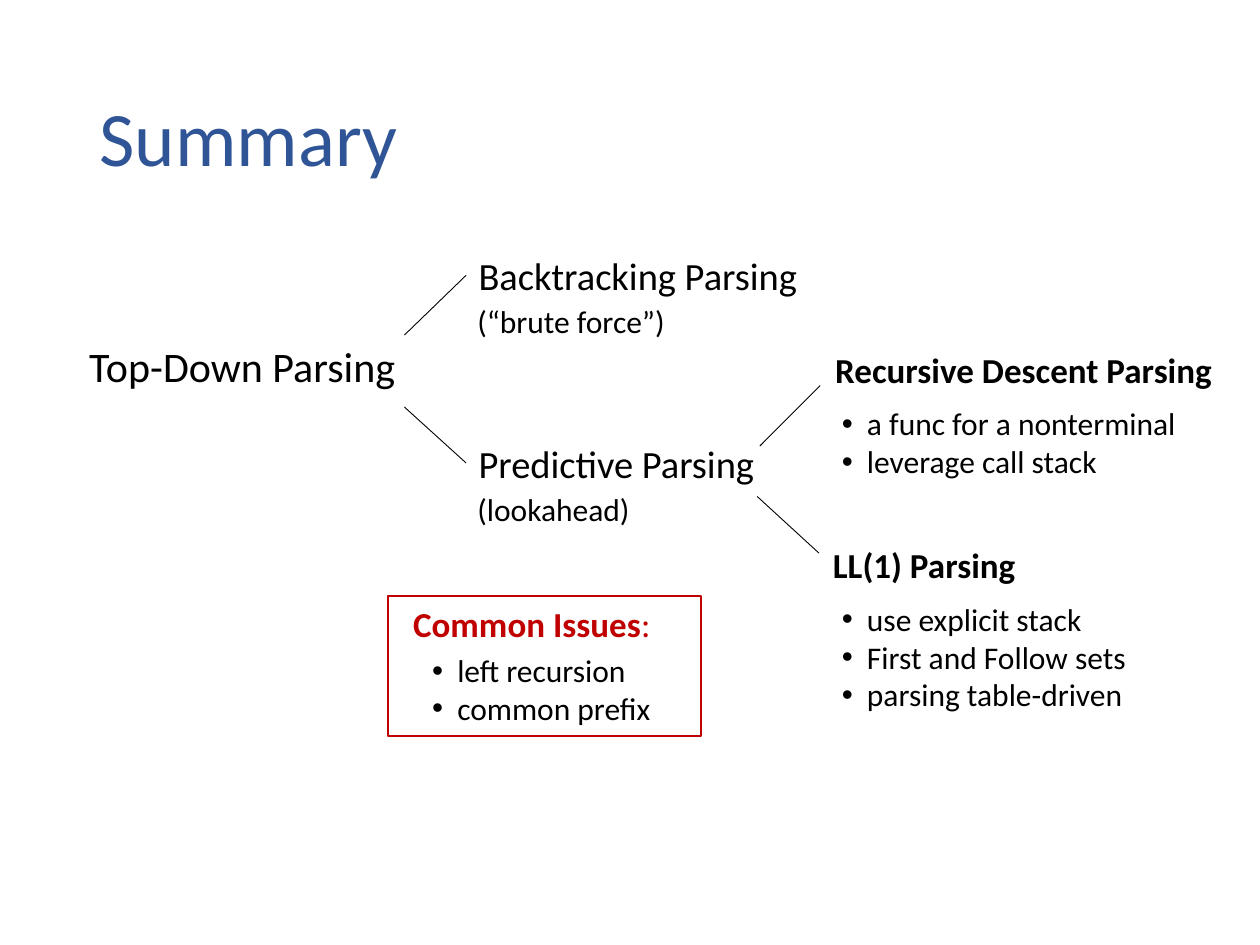
from lxml.etree import SubElement
from pptx import Presentation
from pptx.dml.color import RGBColor as Rgb
from pptx.enum.shapes import MSO_CONNECTOR as Conn, MSO_SHAPE as Shape
from pptx.enum.text import MSO_ANCHOR as Anchor, MSO_AUTO_SIZE as Auto, PP_ALIGN as Align
from pptx.oxml.ns import qn
from pptx.util import Pt

HUES = {"title": "2F5597", "text": "000000", "alert": "C00000"}
FONT = "Calibri"
INDENT = 14.4

TITLE = ("Summary", (49.7, 28.8, 620.6, 104.4))
NODES = {
    "top": ("Top-Down Parsing", 24, (43.9, 190.8, 190.8, 36)),
    "back": ("Backtracking Parsing", 22, (266.4, 140.4, 198, 33.8)),
    "pred": ("Predictive Parsing", 22, (266.4, 247.7, 173.5, 33.8)),
    "look": ("(lookahead)", 18, (265.7, 276.5, 102.2, 28.8)),
    "brute": ("(“brute force”)", 18, (265.7, 169.2, 122.4, 28.8)),
}
HEADS = {
    1: ("Recursive Descent Parsing", (468, 195.8, 231.8, 31.7)),
    3: ("LL(1) Parsing", (468, 306.7, 119.5, 31.7)),
}
LISTS = {
    2: (["a func for a nonterminal", "leverage call stack"], (473.8, 227.5, 207.4, 51.1)),
    4: (["use explicit stack", "First and Follow sets", "parsing table-driven"],
        (473.8, 339.1, 178.6, 72.7)),
}
ISSUES = (["left recursion", "common prefix"], (239.8, 368.6, 140.4, 51.1))
LABEL = ("Common Issues", ":", (229, 340.6, 151.2, 31.7))
FRAME = (221.8, 340.6, 178.6, 79.9)
LINKS = [
    ((231.1, 191.5), (266.4, 157.7), "back"),
    ((231.1, 232.6), (266.4, 265), "pred"),
    ((432.7, 283.7), (468, 316.1), None),
    ((434.2, 254.9), (468.7, 220.3), None),
]


def place(shape, box):
    shape.left, shape.top, shape.width, shape.height = map(Pt, box)


def style(font, size, hue="text", bold=False):
    font.name, font.size, font.bold = FONT, Pt(size), bold
    font.color.rgb = Rgb.from_string(HUES[hue])


def write(shape, text, size, box, hue="text", bold=False, align=Align.LEFT):
    frame = shape.text_frame
    frame.text = text
    frame.word_wrap = False
    frame.auto_size = Auto.SHAPE_TO_FIT_TEXT
    frame.vertical_anchor = Anchor.TOP
    for para in frame.paragraphs:
        para.alignment = align
        para.space_before = Pt(0)
        for run in para.runs:
            style(run.font, size, hue, bold)
    place(shape, box)
    return shape


def write_list(shape, items, box):
    write(shape, "\n".join(items), 18, box)
    for para in shape.text_frame.paragraphs:
        props = para._p.get_or_add_pPr()
        props.set("marL", str(Pt(INDENT)))
        props.set("indent", str(-Pt(INDENT)))
        SubElement(props, qn("a:buFont")).set("typeface", "Arial")
        SubElement(props, qn("a:buChar")).set("char", "•")


def main():
    """Build the parsing summary slide."""
    deck = Presentation()
    deck.slide_width, deck.slide_height = Pt(720), Pt(540)
    slide = deck.slides.add_slide(deck.slide_layouts.get_by_name("Comparison"))
    shapes = slide.shapes
    holds = {hold.placeholder_format.idx: hold for hold in slide.placeholders}

    text, box = TITLE
    title = write(shapes.title, text, 44, box, "title")
    title.text_frame.word_wrap = True
    title.text_frame.auto_size = Auto.NONE
    title.text_frame.vertical_anchor = Anchor.MIDDLE
    title.text_frame.paragraphs[0].line_spacing = 0.9

    nodes = {}
    for name, (text, size, box) in NODES.items():
        nodes[name] = write(shapes.add_textbox(*map(Pt, box)), text, size, box)
    for idx, (text, box) in HEADS.items():
        write(holds[idx], text, 20, box, bold=True, align=Align.RIGHT)
    for idx, (items, box) in LISTS.items():
        write_list(holds[idx], items, box)

    for start, end, goal in LINKS:
        link = shapes.add_connector(Conn.STRAIGHT, *map(Pt, start + end))
        link.line.width = Pt(0.5)
        link.line.color.rgb = Rgb.from_string(HUES["text"])
        SubElement(link._element.spPr, qn("a:effectLst"))
        if goal:
            link.end_connect(nodes[goal], 1)

    items, box = ISSUES
    write_list(shapes.add_textbox(*map(Pt, box)), items, box)
    text, mark, box = LABEL
    label = write(shapes.add_textbox(*map(Pt, box)), text, 20, box, "alert", True)
    run = label.text_frame.paragraphs[0].add_run()
    run.text = mark
    style(run.font, 20, "alert")

    frame = shapes.add_shape(Shape.RECTANGLE, *map(Pt, FRAME))
    frame.shadow.inherit = False
    frame.fill.background()
    frame.line.width = Pt(1)
    frame.line.color.rgb = Rgb.from_string(HUES["alert"])

    deck.save("out.pptx")


if __name__ == "__main__":
    main()
